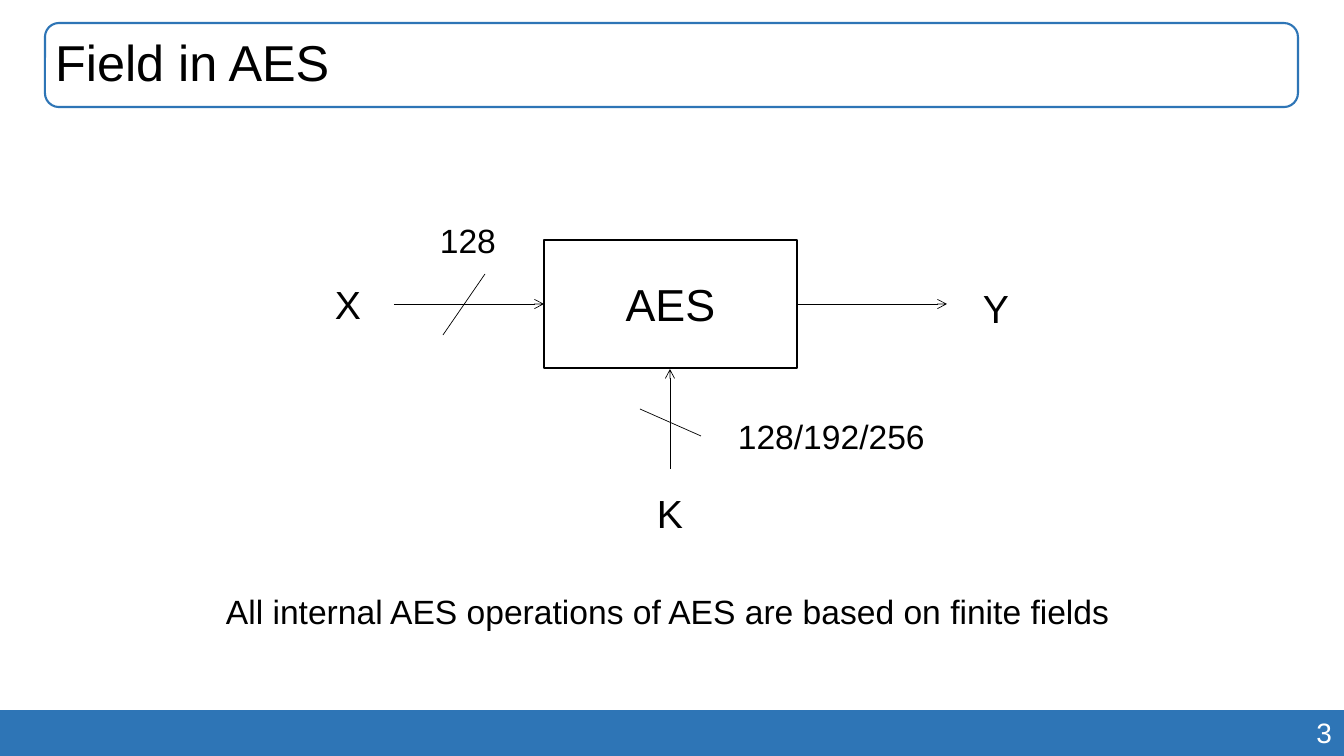
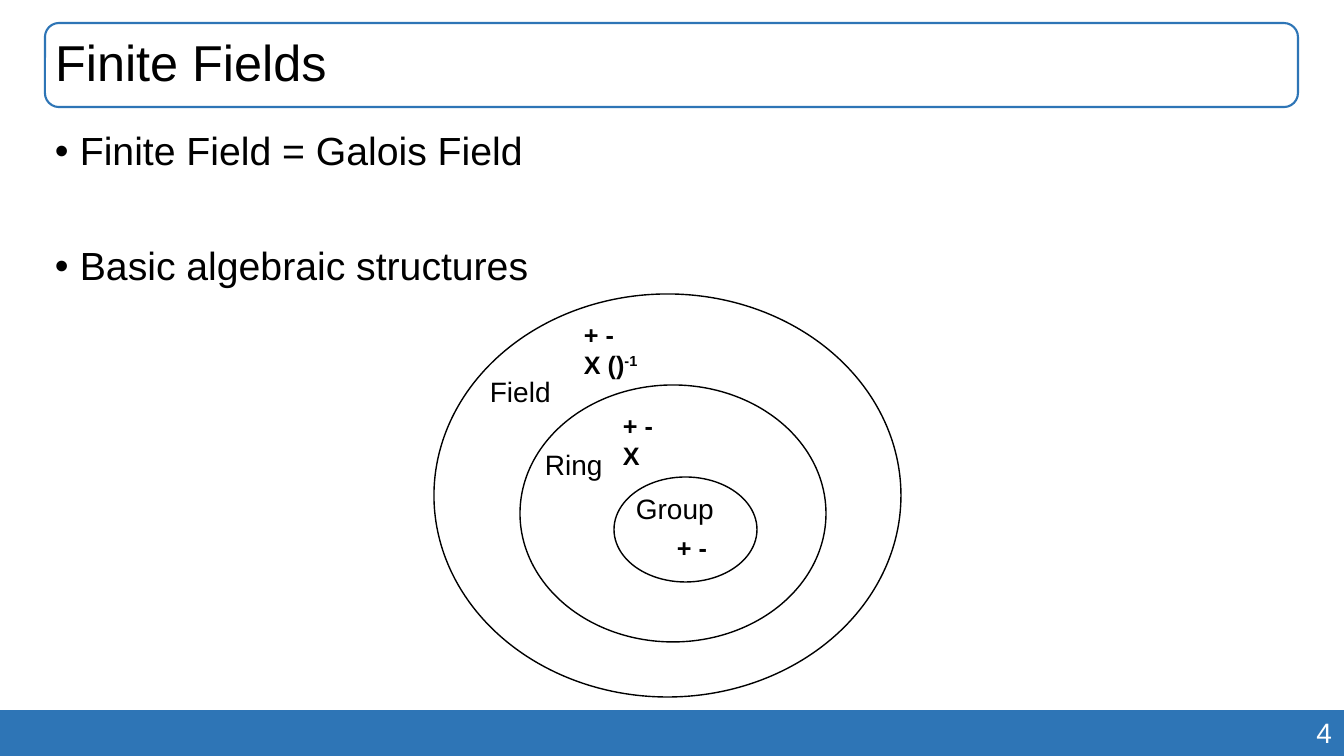
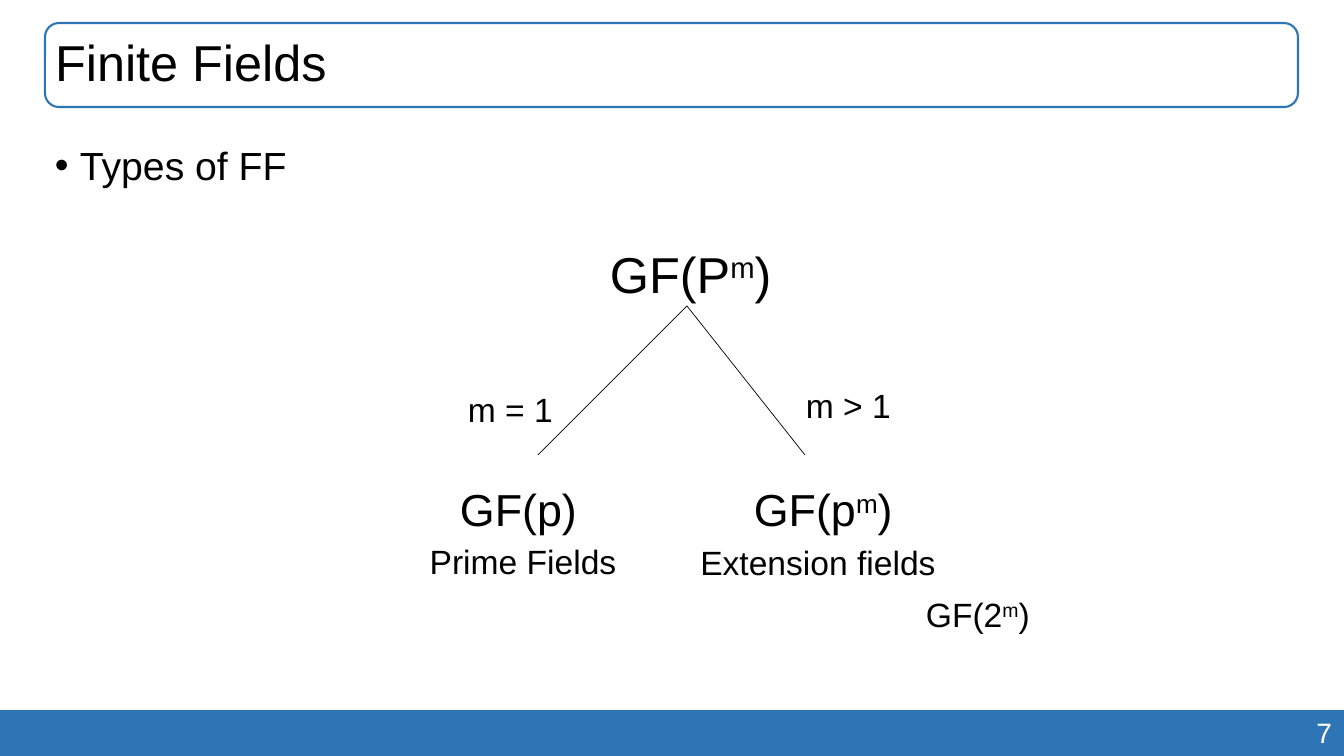
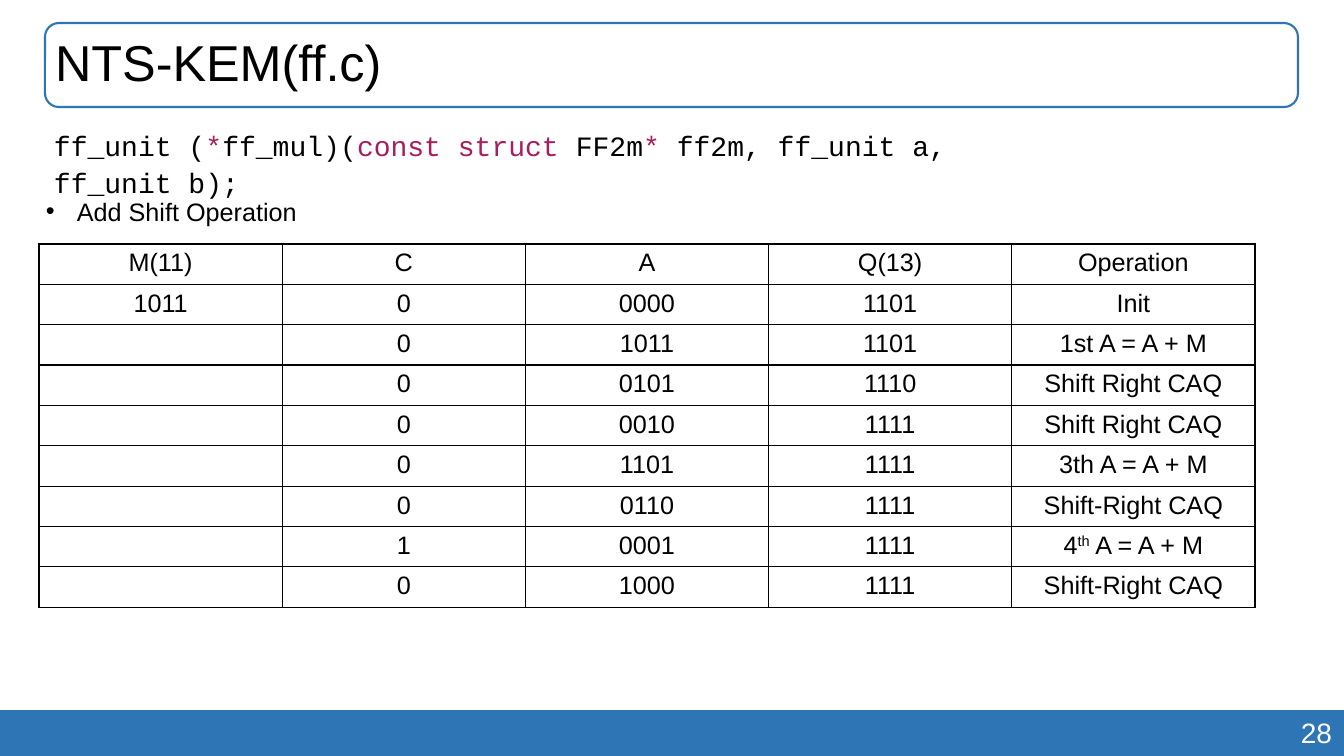
from lxml import etree
from pptx import Presentation
from pptx.dml.color import RGBColor
from pptx.enum.shapes import MSO_CONNECTOR, MSO_SHAPE
from pptx.enum.text import MSO_ANCHOR, MSO_AUTO_SIZE, PP_ALIGN
from pptx.oxml.ns import qn
from pptx.util import Emu, Pt

BLUE = RGBColor(0x2E, 0x75, 0xB6)
BLACK = RGBColor(0, 0, 0)
WHITE = RGBColor(0xFF, 0xFF, 0xFF)
INK = RGBColor(0x01, 0x01, 0x01)
PLUM = RGBColor(0xA7, 0x1D, 0x5D)
FONT, MONO = "Arial", "Courier New"
LEFT, CENTER, RIGHT = PP_ALIGN.LEFT, PP_ALIGN.CENTER, PP_ALIGN.RIGHT
RECT, ROUND, OVAL = MSO_SHAPE.RECTANGLE, MSO_SHAPE.ROUNDED_RECTANGLE, MSO_SHAPE.OVAL
MIDDLE, STRAIGHT = MSO_ANCHOR.MIDDLE, MSO_CONNECTOR.STRAIGHT
PX = 12192000 / 1344


def px(*nums):
    return [Emu(round(n * PX)) for n in nums]


def write(frame, text, size, align=LEFT, color=BLACK, bold=False):
    """Fill a frame, one paragraph a line; ^x^ raises x."""
    for i, row in enumerate(text.split("\n")):
        para = frame.add_paragraph() if i else frame.paragraphs[0]
        para.alignment = align
        font = para.font
        font.name, font.size, font.bold = FONT, Pt(size), bold
        font.color.rgb = color
        for j, part in enumerate(row.split("^")):
            run = para.add_run()
            run.text = part
            if j % 2:
                run.font._element.set("baseline", "30000")


deck = Presentation()
deck.slide_width, deck.slide_height = px(1344, 756)

# Shared frame: footer band, page number, outlined title
pages = []
for title, num in [("Field in AES", "3"), ("Finite Fields", "4"),
                   ("Finite Fields", "7"), ("NTS-KEM(ff.c)", "28")]:
    page = deck.slides.add_slide(deck.slide_layouts[5])
    pages.append(page)
    band = page.shapes.add_shape(RECT, *px(0, 710, 1344, 46))
    band.shadow.inherit = False
    band.fill.solid()
    band.fill.fore_color.rgb = BLUE
    band.line.fill.background()
    foot = page.shapes.add_textbox(*px(949, 711, 393, 44))
    write(foot.text_frame, num, 20, RIGHT, WHITE)

    spot = px(45, 23, 1253, 84)
    rim = page.shapes.add_shape(ROUND, *spot)
    rim.shadow.inherit = False
    rim.fill.background()
    rim.line.color.rgb = BLUE
    rim.line.width = Pt(1.5)
    head = page.shapes.title
    head.left, head.top, head.width, head.height = spot
    frame = head.text_frame
    frame.auto_size = MSO_AUTO_SIZE.NONE
    frame.vertical_anchor = MIDDLE
    write(frame, title, 36)
    frame.paragraphs[0].line_spacing = 0.9

cipher, rings, tree, code = pages

# Outlined shapes: cipher block and nested sets
for page, kind, spot, text in [
    (cipher, RECT, (544, 240, 253, 128), "AES"),
    (rings, OVAL, (614, 477, 143, 105), ""),
    (rings, OVAL, (520, 385, 306, 257), ""),
    (rings, OVAL, (434, 294, 467, 403), ""),
]:
    shape = page.shapes.add_shape(kind, *px(*spot))
    shape.shadow.inherit = False
    shape.fill.background()
    shape.line.color.rgb = BLACK
    shape.line.width = Pt(1)
    if text:
        write(shape.text_frame, text, 32, CENTER)

# Lines and arrows
for page, ends, arrow in [
    (cipher, (394, 304, 544, 304), True),
    (cipher, (797, 304, 947, 304), True),
    (cipher, (670, 469, 670, 369), True),
    (cipher, (485, 274, 443, 335), False),
    (cipher, (640, 409, 701, 436), False),
    (tree, (687, 306, 538, 455), False),
    (tree, (687, 306, 805, 455), False),
]:
    link = page.shapes.add_connector(STRAIGHT, *px(*ends))
    link.line.color.rgb = BLACK
    link.line.width = Pt(0.5)
    if arrow:
        etree.SubElement(link.line._get_or_add_ln(), qn("a:tailEnd"), type="arrow")
    etree.SubElement(link._element.spPr, qn("a:effectLst"))

# Labels
for page, spot, size, align, bold, text in [
    (cipher, (325, 275, 60, 57), 28, LEFT, False, "X"),
    (cipher, (973, 279, 60, 57), 28, LEFT, False, "Y"),
    (cipher, (647, 484, 60, 57), 28, LEFT, False, "K"),
    (cipher, (430, 215, 90, 50), 24, LEFT, False, "128"),
    (cipher, (728, 411, 230, 50), 24, LEFT, False, "128/192/256"),
    (cipher, (216, 586, 940, 50), 24, LEFT, False,
     "All internal AES operations of AES are based on finite fields"),
    (rings, (626, 487, 110, 44), 20, LEFT, False, "Group"),
    (rings, (535, 443, 90, 44), 20, LEFT, False, "Ring"),
    (rings, (480, 370, 90, 44), 20, LEFT, False, "Field"),
    (rings, (667, 527, 60, 40), 18, LEFT, True, "+ -"),
    (rings, (613, 405, 60, 72), 18, LEFT, True, "+ -\nX"),
    (rings, (574, 314, 90, 72), 18, LEFT, True, "+ -\nX ()^-1^"),
    (tree, (600, 238, 218, 83), 36, LEFT, False, "GF(P^m^)"),
    (tree, (450, 477, 161, 76), 32, LEFT, False, "GF(p)"),
    (tree, (744, 477, 190, 76), 32, LEFT, False, "GF(p^m^)"),
    (tree, (401, 536, 244, 60), 24, CENTER, False, "Prime Fields"),
    (tree, (667, 537, 302, 60), 24, CENTER, False, "Extension fields"),
    (tree, (796, 380, 124, 60), 24, LEFT, False, "m > 1"),
    (tree, (458, 384, 124, 60), 24, LEFT, False, "m = 1"),
    (tree, (916, 589, 149, 60), 24, LEFT, False, "GF(2^m^)"),
]:
    label = page.shapes.add_textbox(*px(*spot))
    label.text_frame.word_wrap = True
    write(label.text_frame, text, size, align, bold=bold)

# Bulleted text
for page, spot, size, dent, lead, text in [
    (rings, (45, 127, 1253, 160), 28, 25, 0.9,
     "Finite Field = Galois Field\nBasic algebraic structures"),
    (tree, (45, 127, 1253, 70), 28, 25, 1.2, "Types of FF"),
    (code, (36, 191, 300, 40), 18, 31, 1.0, "Add Shift Operation"),
]:
    frame = page.shapes.add_textbox(*px(*spot)).text_frame
    frame.word_wrap = True
    rows = text.split("\n")
    for _ in rows[1:]:
        frame.add_paragraph()
    for i, (para, row) in enumerate(zip(frame.paragraphs, rows)):
        props = para._p.get_or_add_pPr()
        props.set("marL", str(px(dent)[0]))
        props.set("indent", str(px(-dent)[0]))
        etree.SubElement(props, qn("a:buFont"), typeface=FONT)
        etree.SubElement(props, qn("a:buChar"), char="•")
        para.line_spacing = lead
        if i:
            para.space_before = Pt(52)
        para.text = row
        para.font.name, para.font.size = FONT, Pt(size)
        para.font.color.rgb = BLACK

# Function signature
frame = code.shapes.add_textbox(*px(54, 125, 1011, 70)).text_frame
frame.word_wrap = True
frame.margin_left = frame.margin_right = frame.margin_top = frame.margin_bottom = 0
para = frame.paragraphs[0]
para.line_spacing = 1.1
para.font.name, para.font.size = MONO, Pt(20)
for text, color in [
    ("ff_unit (", INK), ("*", PLUM), ("ff_mul)(", INK), ("const struct", PLUM),
    (" FF2m", INK), ("*", PLUM), (" ff2m, ff_unit a, ff_unit b);", INK),
]:
    run = para.add_run()
    run.text = text
    run.font.color.rgb = color

# Table of add and shift steps
STEPS = [
    ("M(11)", "C", "A", "Q(13)", "Operation"),
    ("1011", "0", "0000", "1101", "Init"),
    ("", "0", "1011", "1101", "1st A = A + M"),
    ("", "0", "0101", "1110", "Shift Right CAQ"),
    ("", "0", "0010", "1111", "Shift Right CAQ"),
    ("", "0", "1101", "1111", "3th A = A + M"),
    ("", "0", "0110", "1111", "Shift-Right CAQ"),
    ("", "1", "0001", "1111", "4^th^ A = A + M"),
    ("", "0", "1000", "1111", "Shift-Right CAQ"),
]
grid = code.shapes.add_table(len(STEPS), 5, *px(39, 244, 1216, 363)).table
grid.first_row = grid.horz_banding = False
for r, step in enumerate(STEPS):
    for c, text in enumerate(step):
        cell = grid.cell(r, c)
        props = cell._tc.get_or_add_tcPr()
        for side in ("lnL", "lnR", "lnT", "lnB"):
            edge = etree.SubElement(props, qn("a:" + side), w=str(Pt(1)))
            fill = etree.SubElement(edge, qn("a:solidFill"))
            etree.SubElement(fill, qn("a:srgbClr"), val=str(BLACK))
        cell.fill.background()
        if text:
            write(cell.text_frame, text, 18, CENTER)

deck.save("out.pptx")
